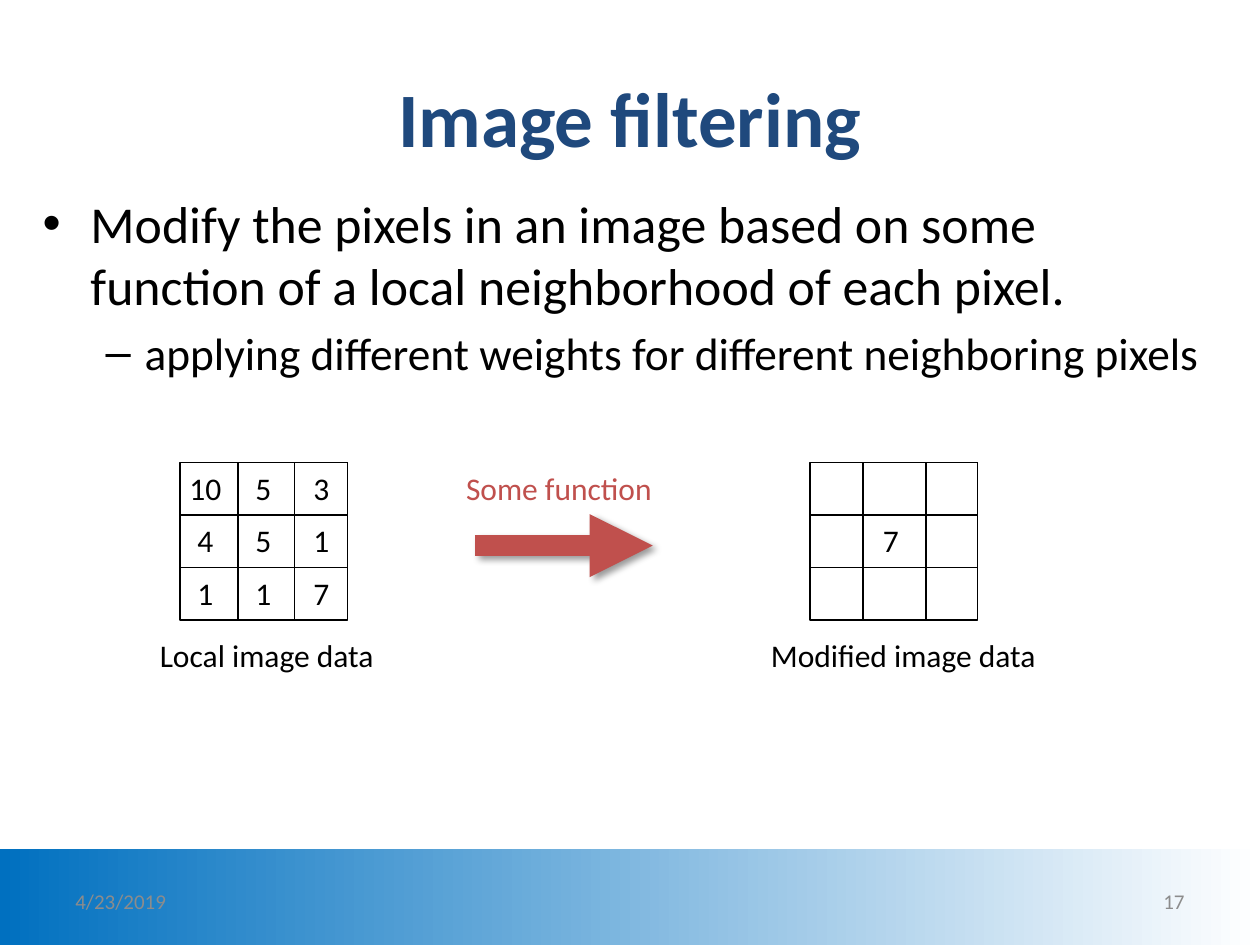
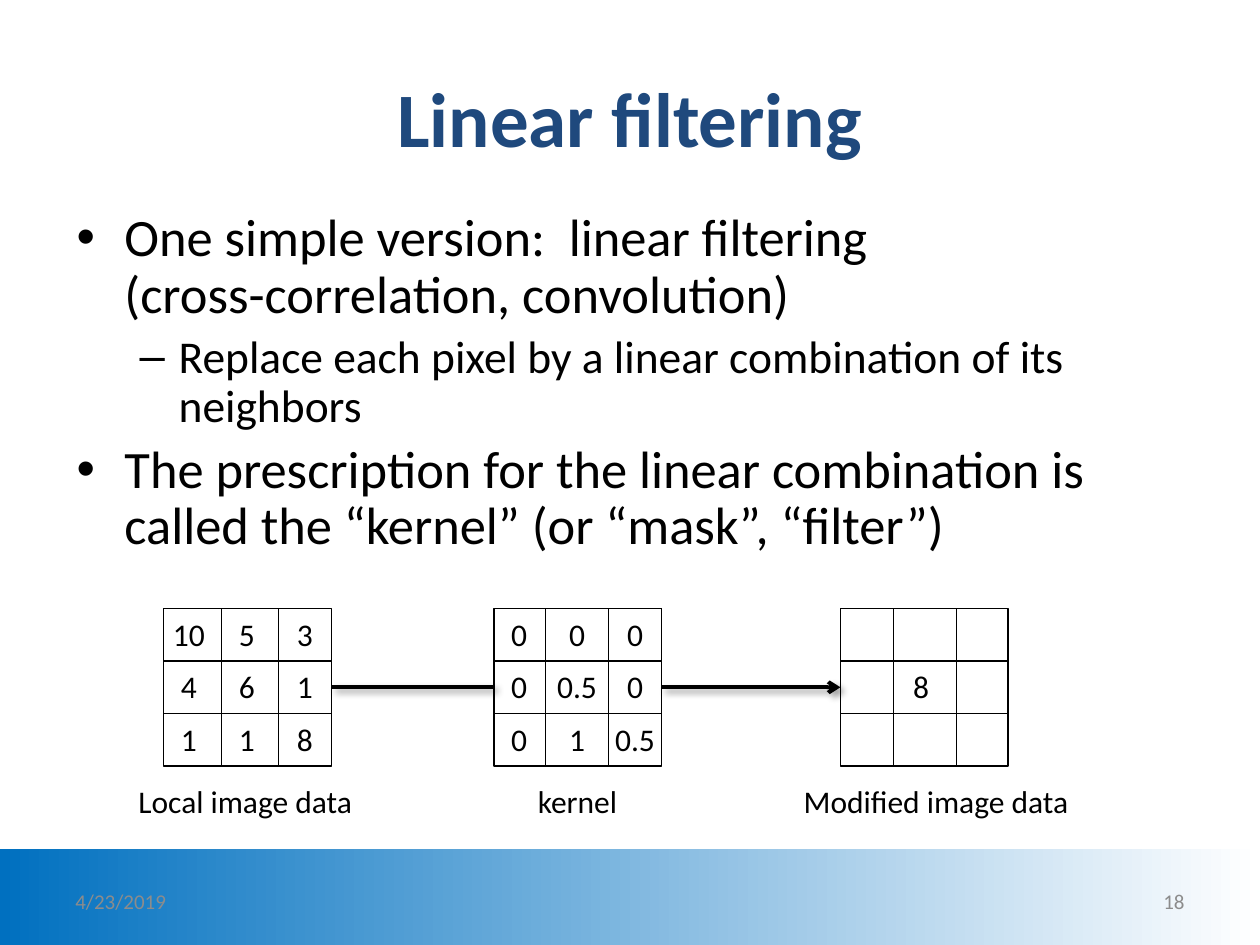
from lxml.etree import SubElement as Sub
from pptx import Presentation
from pptx.dml.color import RGBColor as RGB
from pptx.enum.shapes import MSO_CONNECTOR as Link, MSO_SHAPE as Form
from pptx.enum.text import MSO_ANCHOR as Anchor, PP_ALIGN as Align
from pptx.oxml.ns import qn
from pptx.util import Inches, Pt

NAVY = RGB(0x1F, 0x49, 0x7D)
BLACK = RGB(0, 0, 0)
RED = RGB(0xC0, 0x50, 0x4D)
GRAY = RGB(0x8C, 0x8C, 0x8C)
BLUE = RGB(0x00, 0x70, 0xC0)
WHITE = RGB(255, 255, 255)

SIDE, TALL = 1.33, 1.25
ROW = TALL / 3
MIDS = (0.2, 0.66, 1.12)
LEVELS = (("•", 0.38, 0.38), ("–", 0.81, 0.31))
SHADE = {"blurRad": 50800, "dist": 38100, "dir": 2700000,
         "algn": "ctr", "rotWithShape": 0}


def put(node, tag, **vals):
    """Add a child element with the given attributes."""
    return Sub(node, qn(tag), {key: str(val) for key, val in vals.items()})


class Deck:
    """Hold the style and the current slide."""

    def __init__(self):
        """Start an empty 10 by 7.5 inch file."""
        self.file = Presentation()
        self.file.slide_width, self.file.slide_height = Inches(10), Inches(7.5)
        self.page = None

    def start(self, title, num):
        """Open a slide with its title, band and footers."""
        self.page = self.file.slides.add_slide(self.file.slide_layouts[6])
        self.band()
        self.text(title, 0.5, 0.3, 9, 1.25, NAVY, Align.CENTER,
                  Anchor.MIDDLE, size=Pt(44), bold=True)
        for word, left, side in (("4/23/2019", 0.5, Align.LEFT),
                                 (num, 7.17, Align.RIGHT)):
            self.text(word, left, 6.95, 2.33, 0.4, GRAY, side,
                      Anchor.MIDDLE, size=Pt(12))

    def band(self):
        """Draw the fading band at the foot."""
        bar = self.page.shapes.add_shape(
            Form.RECTANGLE, 0, Inches(6.74), Inches(10), Inches(0.76))
        bar.shadow.inherit = False
        bar.line.fill.background()
        bar.fill.gradient()
        bar.fill.gradient_angle = 0
        for stop, tint in zip(bar.fill.gradient_stops, (BLUE, WHITE)):
            stop.color.rgb = tint

    def style(self, para, tint=BLACK, **form):
        """Set the font of a paragraph."""
        for key, val in {"name": "Calibri", "size": Pt(18), **form}.items():
            setattr(para.font, key, val)
        para.font.color.rgb = tint

    def frame(self, left, top, wide, high, home=None):
        """Add a wrapping text box and return its frame."""
        box = (home or self.page).shapes.add_textbox(
            *map(Inches, (left, top, wide, high)))
        box.text_frame.word_wrap = True
        return box.text_frame

    def text(self, words, left, top, wide, high=0.4, tint=BLACK,
             side=Align.LEFT, hold=Anchor.TOP, home=None, **form):
        """Write one paragraph in a box."""
        body = self.frame(left, top, wide, high, home)
        body.vertical_anchor = hold
        para = body.paragraphs[0]
        para.text, para.alignment = words, side
        self.style(para, tint, **form)

    def points(self, items, left, top, wide, high, sizes, lead=1.0):
        """Write a list of (level, words) bullets."""
        body = self.frame(left, top, wide, high)
        for spot, (level, words) in enumerate(items):
            para = body.add_paragraph() if spot else body.paragraphs[0]
            mark, edge, hang = LEVELS[level]
            para.text, para.level = words, level
            props = para._p.get_or_add_pPr()
            props.set("marL", str(Inches(edge)))
            props.set("indent", str(-Inches(hang)))
            put(props, "a:buFont", typeface="Arial")
            put(props, "a:buChar", char=mark)
            para.line_spacing = lead
            para.space_before = Pt(sizes[level] * 0.2 if spot else 0)
            self.style(para, size=Pt(sizes[level]))

    def line(self, ends, tint=BLACK, width=0.75, tip=None, shade=False, home=None):
        """Draw a straight line, with a tip and a shadow if asked."""
        pen = (home or self.page).shapes.add_connector(
            Link.STRAIGHT, *map(Inches, ends))
        pen.line.color.rgb, pen.line.width = tint, Pt(width)
        props = pen._element.spPr
        if tip:
            put(props.find(qn("a:ln")), "a:tailEnd", type=tip)
        glow = put(props, "a:effectLst")
        if shade:
            drop = put(glow, "a:outerShdw", **SHADE)
            put(put(drop, "a:srgbClr", val=BLACK), "a:alpha", val=40000)
        return pen

    def join(self, one, two, tip=None):
        """Link the right side of one grid to the left of the next."""
        pen = self.line((0, 0, 1, 1), width=2.25, tip=tip, shade=True)
        pen.begin_connect(one, 3)
        pen.end_connect(two, 1)

    def grid(self, left, top, cuts, rows, name, shift, mids=MIDS):
        """Draw a three by three grid with its caption and return its frame."""
        home = self.page.shapes.add_group_shape()
        rect = home.shapes.add_shape(
            Form.RECTANGLE, *map(Inches, (left, top, SIDE, TALL)))
        rect.shadow.inherit = False
        rect.fill.background()
        rect.line.color.rgb, rect.line.width = BLACK, Pt(0.75)
        for cut in cuts:
            self.line((left + cut, top, left + cut, top + TALL), home=home)
        for num, row in enumerate(rows):
            y = top + num * ROW
            self.line((left, y, left + SIDE, y), home=home)
            for mid, word in zip(mids, row):
                if word:
                    self.text(word, left + mid - 0.3, y, 0.6,
                              side=Align.CENTER, home=home)
        self.text(name, left + shift, top + TALL + 0.08, 2.5)
        return rect

    def local(self, left, top, rows, shift):
        """Draw the grid of input pixels."""
        return self.grid(left, top, (0.46, 0.91), rows, "Local image data", shift)

    def result(self, left, top, word, shift):
        """Draw the grid that holds the new pixel."""
        rows = ((), ("", word, ""), ())
        return self.grid(left, top, (0.42, 0.92), rows,
                         "Modified image data", shift, (0.2, 0.64, 1.12))


def main():
    """Build both slides."""
    deck = Deck()
    deck.start("Image filtering", "17")
    deck.points((
        (0, "Modify the pixels in an image based on some function of a local "
            "neighborhood of each pixel."),
        (1, "applying different weights for different neighboring pixels"),
    ), 0.24, 1.47, 9.54, 1.51, (29.6, 25.9))
    deck.local(1.43, 3.67, (("10", "5", "3"), ("4", "5", "1"), ("1", "1", "7")), -0.26)
    deck.result(6.43, 3.67, "7", -0.41)
    deck.line((3.77, 4.33, 5.18, 4.33), RED, 12, "triangle", True)
    deck.text("Some function", 3.6, 3.67, 2.15, tint=RED)

    deck.start("Linear filtering", "18")
    deck.points((
        (0, "One simple version:  linear filtering\v(cross-correlation, convolution)"),
        (1, "Replace each pixel by a linear combination of its neighbors"),
        (0, "The prescription for the linear combination is called the "
            "“kernel” (or “mask”, “filter”)"),
    ), 0.51, 1.63, 9.16, 3.06, (30, 26), 0.9)
    data = deck.local(1.3, 4.83, (("10", "5", "3"), ("4", "6", "1"), ("1", "1", "8")), -0.3)
    mask = deck.grid(3.92, 4.83, (0.41, 0.91),
                     (("0", "0", "0"), ("0", "0.5", "0"), ("0", "1", "0.5")),
                     "kernel", 0.25)
    done = deck.result(6.67, 4.83, "8", -0.39)
    deck.join(data, mask)
    deck.join(mask, done, "arrow")
    deck.file.save("out.pptx")


if __name__ == "__main__":
    main()
